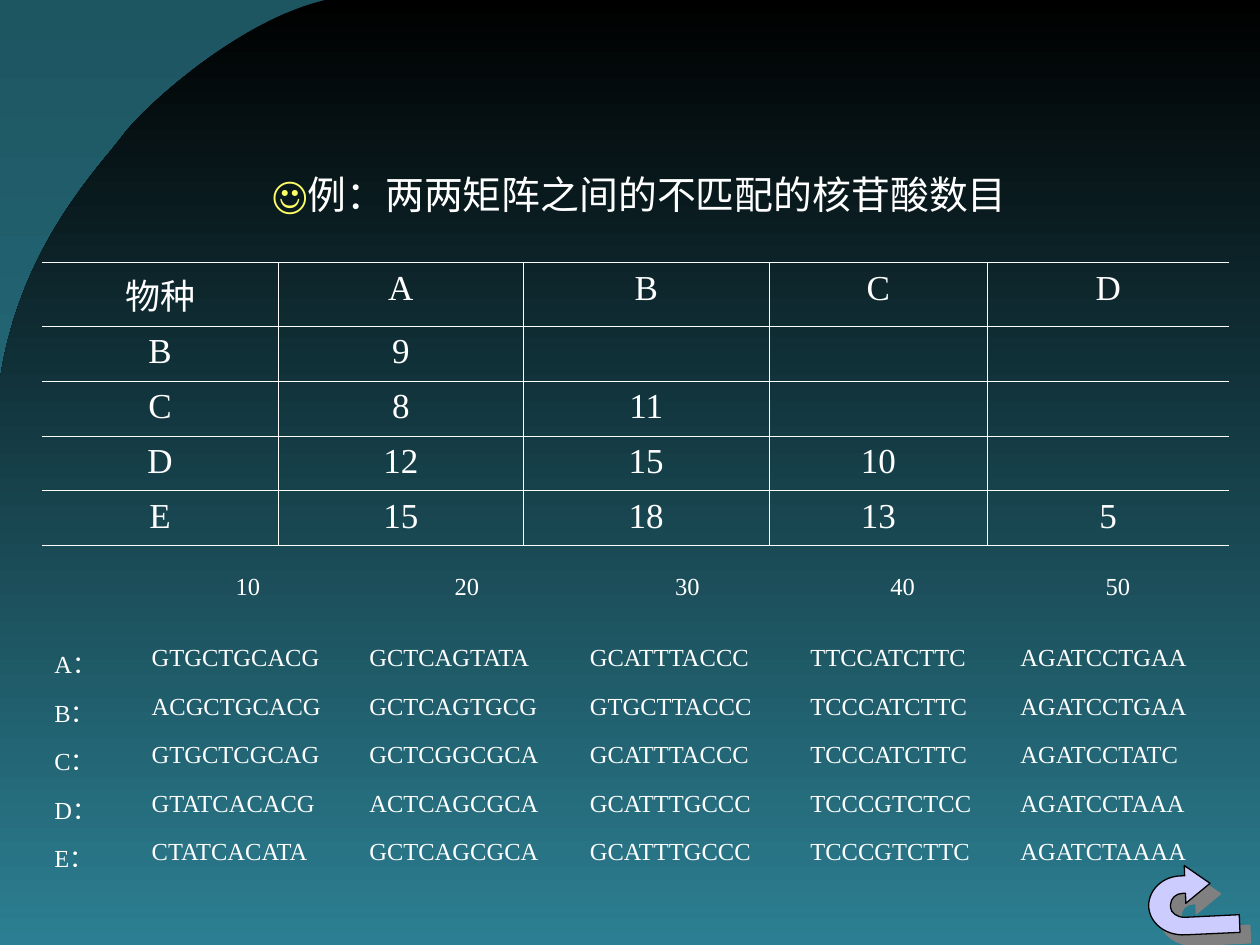
from dataclasses import dataclass

from lxml import etree
from pptx import Presentation
from pptx import util as u
from pptx.dml.color import RGBColor
from pptx.enum import text
from pptx.oxml import parse_xml

Pt = u.Pt
NS = "http://schemas.openxmlformats.org/drawingml/2006/main"
PLAIN = "{2D5ABB26-0587-4C30-8999-92F81FD0307C}"  # table style without lines or fills
FINE = 100  # outline units in a point


@dataclass(frozen=True)
class Theme:
    white: str = "FFFFFF"
    smile: str = "FFFF66"
    back: tuple = ("1D5561", "2C7F92")
    wave: tuple = ("000000", "2C7F92")
    arrow: str = "CCCCFF"
    edge: str = "000000"
    shade: str = "808080"
    sans: str = "Arial"
    serif: str = "Times New Roman"
    title: float = 22.2
    body: float = 20
    small: float = 14
    rule: float = 0.45


def rgb(code):
    return RGBColor.from_string(code)


class Deck:
    def __init__(self, theme):
        self.look = theme
        self.prs = Presentation()
        self.prs.slide_width, self.prs.slide_height = Pt(720), Pt(540)
        self.page = self.prs.slides.add_slide(self.prs.slide_layouts[6])

    def fade(self, fill, tones):
        """Gradient running from top to bottom."""
        fill.gradient()
        fill.gradient_angle = 270
        for stop, tone, spot in zip(fill.gradient_stops, tones, (0, 1)):
            stop.color.rgb, stop.position = rgb(tone), spot

    def shape(self, start, *parts):
        """Closed outline; a part of six numbers is a curve, of two a line."""
        unit = Pt(1) / FINE
        pen = self.page.shapes.build_freeform(*(n * FINE for n in start), scale=unit)
        pen.add_line_segments([[n * FINE for n in p[-2:]] for p in parts], close=True)
        item = pen.convert_to_shape()
        item.shadow.inherit = False
        left, top = item.left / unit, item.top / unit
        for step, p in zip(list(item._element.iter(f"{{{NS}}}lnTo")), parts):
            if len(p) == 6:
                bend = etree.Element(f"{{{NS}}}cubicBezTo")
                for x, y in zip(p[::2], p[1::2]):
                    etree.SubElement(bend, f"{{{NS}}}pt", x=str(round(x * FINE - left)),
                                     y=str(round(y * FINE - top)))
                step.getparent().replace(step, bend)
        return item

    def wave(self, *parts):
        item = self.shape(*parts)
        self.fade(item.fill, self.look.wave)
        item.line.fill.background()

    def arrow(self, *parts):
        item = self.shape(*parts)
        item.fill.solid()
        item.fill.fore_color.rgb = rgb(self.look.arrow)
        item.line.color.rgb = rgb(self.look.edge)
        item.line.width = Pt(0.75)
        glow = item._element.spPr.find(f"{{{NS}}}effectLst")
        glow.append(parse_xml(
            f'<a:outerShdw xmlns:a="{NS}" dist="{Pt(8.5)}" dir="2700000" algn="ctr" '
            f'rotWithShape="0"><a:srgbClr val="{self.look.shade}"/></a:outerShdw>'))

    def font(self, font, name, size, tone):
        font.name, font.size = name, Pt(size)
        font.color.rgb = rgb(tone)

    def title(self, x, y, w, h, runs):
        frame = self.page.shapes.add_textbox(Pt(x), Pt(y), Pt(w), Pt(h)).text_frame
        frame.word_wrap = True
        para = frame.paragraphs[0]
        para.alignment = text.PP_ALIGN.CENTER
        para.line_spacing = 0.7
        for words, tone in runs:
            run = para.add_run()
            run.text = words
            self.font(run.font, self.look.sans, self.look.title, tone)

    def border(self, cell, sides):
        props = cell._tc.get_or_add_tcPr()
        for side in sides:
            line = etree.SubElement(props, f"{{{NS}}}ln{side}", w=str(Pt(self.look.rule)))
            fill = etree.SubElement(line, f"{{{NS}}}solidFill")
            etree.SubElement(fill, f"{{{NS}}}srgbClr", val=self.look.white)

    def table(self, x, y, cols, rows, data, size, centre, ruled=False):
        """centre(row, col) tells whether a cell is centred."""
        grid = self.page.shapes.add_table(
            len(rows), len(cols), Pt(x), Pt(y), Pt(sum(cols)), Pt(sum(rows))).table
        grid._tbl.tblPr.find(f"{{{NS}}}tableStyleId").text = PLAIN
        grid.first_row = grid.horz_banding = False
        for col, w in zip(grid.columns, cols):
            col.width = Pt(w)
        for row, h in zip(grid.rows, rows):
            row.height = Pt(h)
        last = len(cols) - 1
        for r, line in enumerate(data):
            for c in range(len(cols)):
                cell = grid.cell(r, c)
                if ruled:
                    self.border(cell, ["L"] * (c > 0) + ["R"] * (c < last) + ["T", "B"])
                cell.fill.background()
                if c < len(line) and line[c]:
                    cell.text = line[c]
                    para = cell.text_frame.paragraphs[0]
                    if centre(r, c):
                        para.alignment = text.PP_ALIGN.CENTER
                    self.font(para.font, self.look.serif, size, self.look.white)


COUNTS = [line.split() for line in (
    "物种 A B C D", "B 9", "C 8 11", "D 12 15 10", "E 15 18 13 5")]
GENES = [["", "10", "20", "30", "40", "50"]] + [line.split() for line in (
    "A： GTGCTGCACG GCTCAGTATA GCATTTACCC TTCCATCTTC AGATCCTGAA",
    "B： ACGCTGCACG GCTCAGTGCG GTGCTTACCC TCCCATCTTC AGATCCTGAA",
    "C： GTGCTCGCAG GCTCGGCGCA GCATTTACCC TCCCATCTTC AGATCCTATC",
    "D： GTATCACACG ACTCAGCGCA GCATTTGCCC TCCCGTCTCC AGATCCTAAA",
    "E： CTATCACATA GCTCAGCGCA GCATTTGCCC TCCCGTCTTC AGATCTAAAA")]


def main():
    look = Theme()
    deck = Deck(look)
    deck.fade(deck.page.background.fill, look.back)
    deck.wave(
        (186, 0), (137, 11.5, 83.5, 60, 70.5, 77), (57.5, 95, 11.5, 140, 0, 217),
        (0, 540), (720, 540), (720, 0))
    deck.title(36, 101.4, 653.8, 27.4, [
        (" ☺", look.smile), ("例：两两矩阵之间的不匹配的核苷酸数目", look.white)])
    deck.table(23.9, 150, [135.2, 140, 140.4, 125, 137.6], [36.5] + [31.3] * 4, COUNTS,
               look.body, lambda r, c: True, ruled=True)
    deck.arrow(
        (691.5, 504.8), (676.8, 494.6), (677, 500.5),
        (675.4, 500.5), (664.5, 500.5, 656.4, 508.5, 656.4, 517.7),
        (656.8, 527.5, 666, 534.8, 677.5, 534.2), (708.6, 532.8), (708.2, 522.7),
        (677, 524.2), (672.5, 524.2, 669, 521.5, 668.9, 518.4), (668.9, 517),
        (669, 513.4, 672, 510.5, 676, 510.5), (677.5, 510.5), (677.6, 516.2))
    deck.table(23.9, 324, [55.6, 124.4, 126, 126, 120, 126], [41] + [27.7] * 5, GENES,
               look.small, lambda r, c: r == 0)
    deck.prs.save("out.pptx")


if __name__ == "__main__":
    main()
